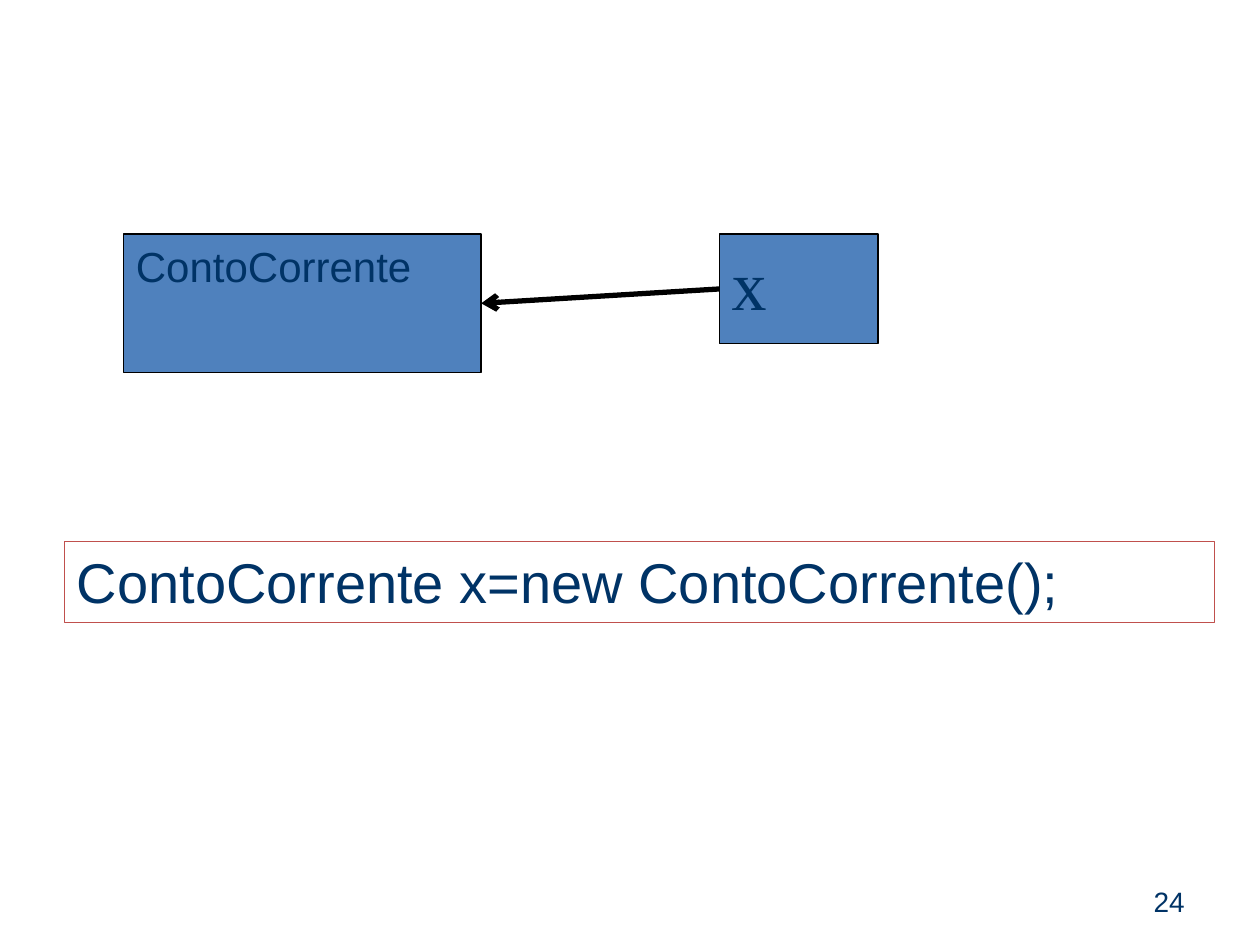
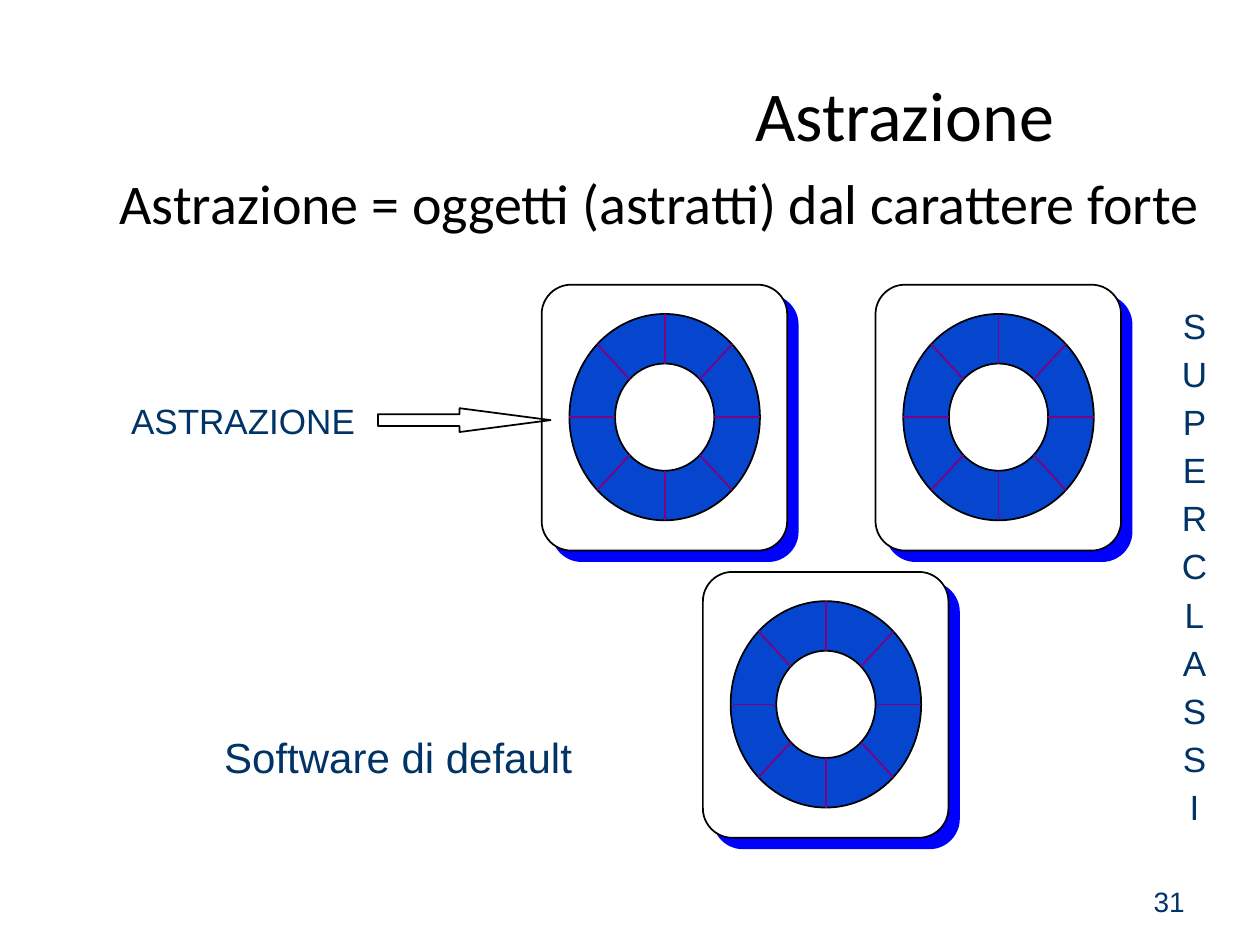
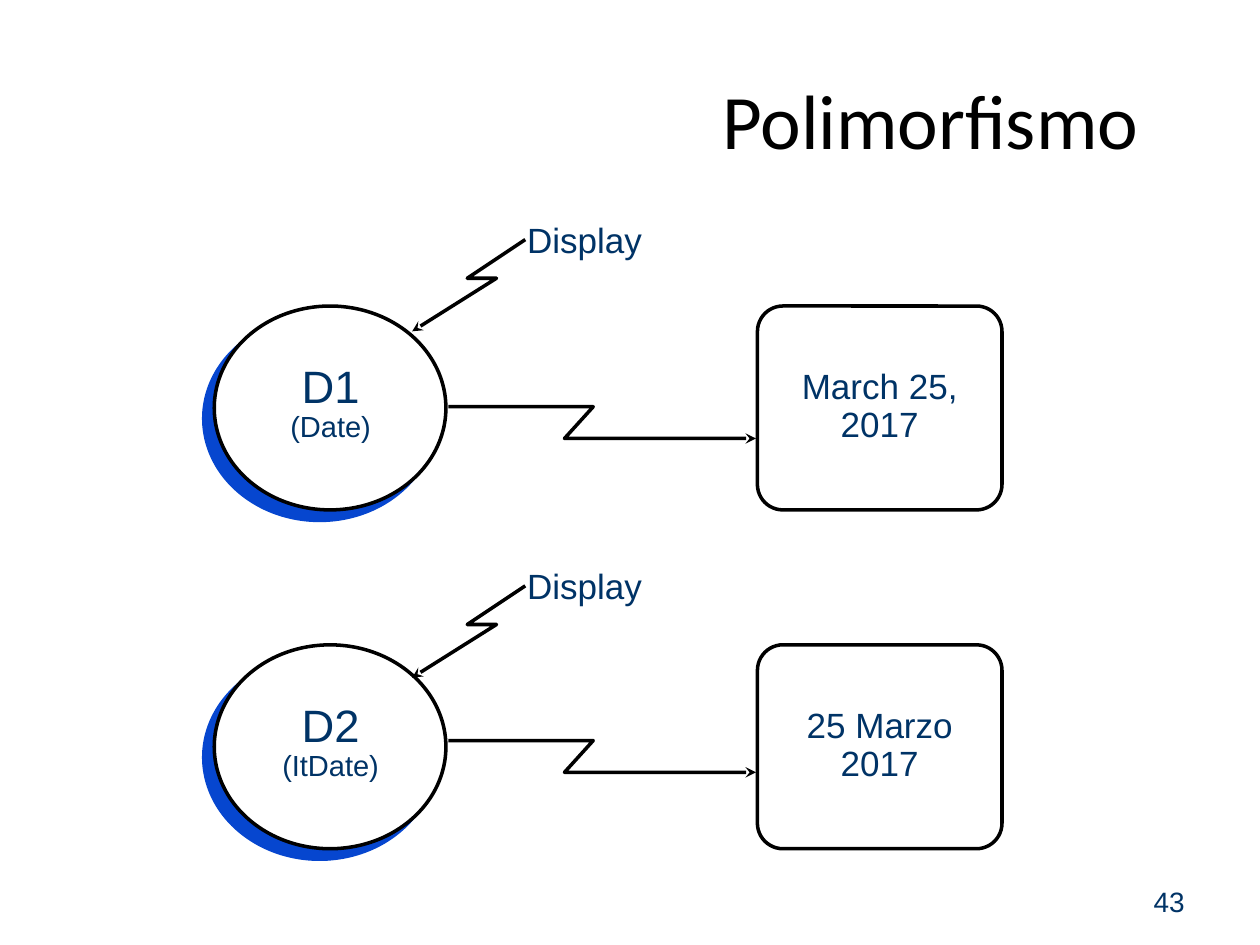
import math

import pptx
import pptx.dml.color
import pptx.enum.dml
import pptx.enum.shapes
import pptx.enum.text
import pptx.oxml.ns
import pptx.util
from lxml import etree

Cm = pptx.util.Cm
Pt = pptx.util.Pt
RGBColor = pptx.dml.color.RGBColor
MSO_SHAPE = pptx.enum.shapes.MSO_SHAPE
STRAIGHT = pptx.enum.shapes.MSO_CONNECTOR.STRAIGHT
PP_ALIGN = pptx.enum.text.PP_ALIGN
MSO_ANCHOR = pptx.enum.text.MSO_ANCHOR
qn = pptx.oxml.ns.qn

NAVY = RGBColor(0x00, 0x33, 0x66)
BLACK = RGBColor(0x00, 0x00, 0x00)
WHITE = RGBColor(0xFF, 0xFF, 0xFF)
STEEL = RGBColor(0x4F, 0x81, 0xBD)
RED = RGBColor(0xC0, 0x50, 0x4D)
COBALT = RGBColor(0x06, 0x46, 0xCF)
BLUE = RGBColor(0x00, 0x00, 0xFF)
PURPLE = RGBColor(0x80, 0x00, 0x80)


def write(sp, text, size=20, font="Arial", color=NAVY, align=PP_ALIGN.LEFT,
          anchor=MSO_ANCHOR.TOP, spacing=1.0, before=0):
    """Write one paragraph per line of text into a shape or text box."""
    tf = sp.text_frame
    tf.word_wrap = True
    tf.vertical_anchor = anchor
    for i, line in enumerate(text.split("\n")):
        p = tf.add_paragraph() if i else tf.paragraphs[0]
        p.alignment = align
        p.line_spacing = spacing
        if i:
            p.space_before = Pt(before)
        r = p.add_run()
        r.text = line
        r.font.size = Pt(size)
        r.font.name = font
        r.font.color.rgb = color
    return tf


def style(sp, line=BLACK, width=1, fill=None, shadow=None, angle=45, tail=None):
    """Set the line, fill, shadow and arrowhead of a shape or connector."""
    sp.line.color.rgb = line
    sp.line.width = Pt(width)
    if fill is not None:
        sp.fill.solid()
        sp.fill.fore_color.rgb = fill
    elif hasattr(sp, "fill"):
        sp.fill.background()
    spPr = sp._element.spPr
    if tail:
        etree.SubElement(spPr.find(qn("a:ln")), qn("a:tailEnd"), type=tail)
    effects = etree.SubElement(spPr, qn("a:effectLst"))
    if shadow is not None:
        outer = etree.SubElement(effects, qn("a:outerShdw"), dist=str(Pt(8.5)),
                                 dir=str(angle * 60000), algn="ctr", rotWithShape="0")
        etree.SubElement(outer, qn("a:srgbClr"), val=str(shadow))


prs = pptx.Presentation()
prs.slide_width = Cm(25.4)
prs.slide_height = Cm(19.05)

# Shared parts: page number and optional title (text, size, box)
pages = [
    ("24", None),
    ("31", ("Astrazione", 40, (11.1, 1.52, 14.27, 1.55))),
    ("43", ("Polimorfismo", 44, (12.12, 1.32, 13.28, 2.16))),
]
for number, title in pages:
    s = prs.slides.add_slide(prs.slide_layouts[6])
    sp = s.shapes.add_textbox(Cm(18.21), Cm(17.65), Cm(5.92), Cm(1.02))
    write(sp, number, size=16, align=PP_ALIGN.RIGHT, anchor=MSO_ANCHOR.MIDDLE)
    if title:
        text, size, box = title
        write(s.shapes.add_textbox(*map(Cm, box)), text, size=size, font="Calibri",
              color=BLACK, align=PP_ALIGN.CENTER, anchor=MSO_ANCHOR.MIDDLE)
reference_slide, abstraction_slide, polymorphism_slide = prs.slides

# Slide 1: a variable that refers to an object
s = reference_slide
boxes = []
for text, size, font, fill, line, box in [
    ("ContoCorrente", 24, "Arial", STEEL, BLACK, (2.49, 4.72, 7.21, 2.79)),
    ("ContoCorrente x=new ContoCorrente();", 32, "Arial", WHITE, RED,
     (1.3, 10.92, 23.19, 1.63)),
    ("x", 40, "Times New Roman", STEEL, BLACK, (14.5, 4.72, 3.2, 2.21)),
]:
    sp = s.shapes.add_shape(MSO_SHAPE.RECTANGLE, *map(Cm, box))
    style(sp, line, 0.75, fill)
    write(sp, text, size=size, font=font)
    boxes.append(sp)
account, code, variable = boxes
arrow = s.shapes.add_connector(STRAIGHT, 0, 0, 0, 0)
arrow.begin_connect(variable, 1)
arrow.end_connect(account, 3)
style(arrow, width=3, tail="arrow")

# Slide 2: definition
s = abstraction_slide
sp = s.shapes.add_textbox(Cm(2.16), Cm(3.28), Cm(23.24), Cm(1.8))
write(sp, "Astrazione = oggetti (astratti) dal carattere forte", size=32,
      font="Calibri", color=BLACK)

# Tiles holding a ring cut into eight by spokes
for x, y in [(10.92, 5.74), (17.65, 5.74), (14.17, 11.53)]:
    shapes = s.shapes.add_group_shape().shapes
    tile = shapes.add_shape(MSO_SHAPE.ROUNDED_RECTANGLE, Cm(x), Cm(y), Cm(4.95), Cm(5.36))
    tile.adjustments[0] = 0.12
    style(tile, fill=WHITE, shadow=BLUE)
    cx, cy = x + 2.48, y + 2.67
    outer_x, outer_y, inner_x, inner_y = 1.92, 2.08, 1, 1.08
    for rx, ry, fill in [(outer_x, outer_y, COBALT), (inner_x, inner_y, WHITE)]:
        sp = shapes.add_shape(MSO_SHAPE.OVAL, Cm(cx - rx), Cm(cy - ry), Cm(2 * rx), Cm(2 * ry))
        style(sp, fill=fill)
    for k in range(8):
        dx, dy = math.cos(k * math.pi / 4), math.sin(k * math.pi / 4)
        spoke = shapes.add_connector(
            STRAIGHT, Cm(cx + outer_x * dx), Cm(cy + outer_y * dy),
            Cm(cx + inner_x * dx), Cm(cy + inner_y * dy))
        style(spoke, PURPLE)

# Labels and block arrow
sp = s.shapes.add_textbox(Cm(2.08), Cm(8.03), Cm(5.64), Cm(1.24))
write(sp, "ASTRAZIONE", align=PP_ALIGN.CENTER, spacing=0.9)
arrow = s.shapes.add_shape(MSO_SHAPE.RIGHT_ARROW, Cm(7.62), Cm(8.23), Cm(3.48), Cm(0.48))
arrow.adjustments[0] = 0.5
arrow.adjustments[1] = 3.82
style(arrow)
sp = s.shapes.add_textbox(Cm(23.52), Cm(6.17), Cm(1.12), Cm(11.25))
write(sp, "\n".join("SUPERCLASSI"), align=PP_ALIGN.CENTER, spacing=0.8, before=8.3)
sp = s.shapes.add_textbox(Cm(4.27), Cm(14.73), Cm(15.77), Cm(1.24))
write(sp, "Software di default", size=24, spacing=0.9)

# Slide 3: two objects answering the same message
s = polymorphism_slide
centred = dict(align=PP_ALIGN.CENTER, anchor=MSO_ANCHOR.MIDDLE)
for name, answer, dy, reply_dy, call_dy in [
    ("D1\n(Date)", "March 25, 2017", 0, 0, 0),
    ("D2\n(ItDate)", "25 Marzo 2017", 6.83, 6.73, 6.98),
]:
    # Object
    sp = s.shapes.add_shape(MSO_SHAPE.OVAL, Cm(4.32), Cm(6.17 + dy), Cm(4.67), Cm(4.11))
    style(sp, width=2, fill=WHITE, shadow=COBALT, angle=135)
    sp = s.shapes.add_textbox(Cm(4.29), Cm(7.32 + dy), Cm(4.75), Cm(1.8))
    tf = write(sp, name, size=25.9, spacing=0.7, before=4, **centred)
    tf.paragraphs[1].runs[0].font.size = Pt(16.6)

    # Answer
    sp = s.shapes.add_shape(MSO_SHAPE.ROUNDED_RECTANGLE,
                            Cm(15.27), Cm(6.17 + dy), Cm(4.93), Cm(4.11))
    sp.adjustments[0] = 0.125
    style(sp, width=2)
    sp = s.shapes.add_textbox(Cm(15.21), Cm(7.26 + dy), Cm(5.05), Cm(1.9))
    write(sp, answer, spacing=0.9, **centred)

    # Message and zigzag arrows
    sp = s.shapes.add_textbox(Cm(10.31), Cm(4.24 + call_dy), Cm(2.95), Cm(1.27))
    write(sp, "Display", spacing=0.9, **centred)
    for shift, points in [
        (reply_dy, [(9.04, 8.2), (11.96, 8.2), (11.38, 8.84), (15.24, 8.84)]),
        (call_dy, [(10.59, 4.83), (9.42, 5.61), (10.01, 5.61), (8.31, 6.68)]),
    ]:
        points = [(Cm(x), Cm(y + shift)) for x, y in points]
        builder = s.shapes.build_freeform(*points[0])
        builder.add_line_segments(points[1:], close=False)
        style(builder.convert_to_shape(), width=2, tail="stealth")

prs.save("out.pptx")
